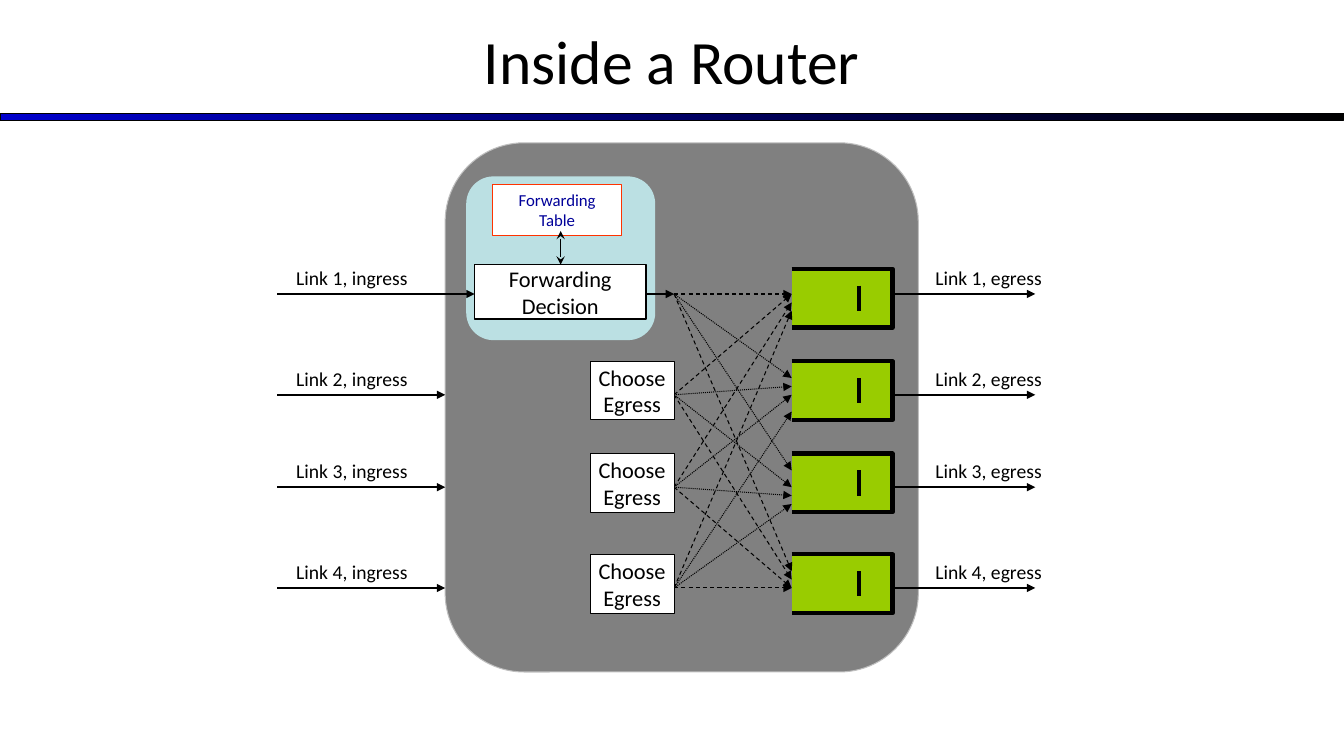
from lxml import etree
from pptx import Presentation
from pptx.dml.color import RGBColor
from pptx.enum import dml, shapes, text
from pptx.oxml import ns
from pptx.util import Pt

BLACK = RGBColor(0x00, 0x00, 0x00)
WHITE = RGBColor(0xFF, 0xFF, 0xFF)
BLUE = RGBColor(0x00, 0x00, 0xCC)
NAVY = RGBColor(0x00, 0x00, 0x99)
GREY = RGBColor(0x80, 0x80, 0x80)
SILVER = RGBColor(0xBF, 0xBF, 0xBF)
PALE = RGBColor(0xBB, 0xE0, 0xE3)
GREEN = RGBColor(0x99, 0xCC, 0x00)
RED = RGBColor(0xFF, 0x33, 0x00)
RECT = shapes.MSO_SHAPE.RECTANGLE
DASH, DOT = dml.MSO_LINE.DASH, dml.MSO_LINE.ROUND_DOT

prs = Presentation()
prs.slide_width, prs.slide_height = Pt(960), Pt(540)
s = prs.slides.add_slide(prs.slide_layouts[5])


def write(sp, words, size, color=BLACK, align=text.PP_ALIGN.CENTER,
          anchor=text.MSO_ANCHOR.MIDDLE, wrap=False):
    tf = sp.text_frame
    tf.text = words
    tf.word_wrap = wrap
    tf.auto_size = text.MSO_AUTO_SIZE.NONE
    tf.vertical_anchor = anchor
    tf.margin_left = tf.margin_right = Pt(7.2)
    tf.margin_top = tf.margin_bottom = Pt(3.6)
    for p in tf.paragraphs:
        p.alignment = align
        f = p.runs[0].font
        f.name, f.size, f.color.rgb = "Calibri", Pt(size), color


def line(x1, y1, x2, y2, width, dash=None, head=None, tail="triangle"):
    cn = s.shapes.add_connector(shapes.MSO_CONNECTOR.STRAIGHT,
                                Pt(x1), Pt(y1), Pt(x2), Pt(y2))
    cn.line.color.rgb, cn.line.width = BLACK, Pt(width)
    if dash:
        cn.line.dash_style = dash
    ln = cn.line._get_or_add_ln()
    for end, kind in (("a:headEnd", head), ("a:tailEnd", tail)):
        if kind:
            etree.SubElement(ln, ns.qn(end), type=kind)
    etree.SubElement(cn._element.spPr, ns.qn("a:effectLst"))


# Title and gradient rule
title = s.shapes.title
title.left, title.top, title.width, title.height = Pt(0), Pt(-2), Pt(960), Pt(90)
write(title, "Inside a Router", 44, wrap=True)
rule = s.shapes.add_shape(RECT, Pt(0), Pt(81), Pt(960), Pt(5))
rule.shadow.inherit = False
rule.fill.gradient()
rule.fill.gradient_angle = 0
for stop, color in zip(rule.fill.gradient_stops, (BLUE, BLACK)):
    stop.color.rgb = color
rule.line.color.rgb, rule.line.width = BLACK, Pt(0.75)

# Router body and forwarding panel
for x, y, w, h, fill, edge in ((318, 102, 338, 378, GREY, SILVER),
                               (333, 126, 135, 117, PALE, None)):
    sp = s.shapes.add_shape(shapes.MSO_SHAPE.ROUNDED_RECTANGLE,
                            Pt(x), Pt(y), Pt(w), Pt(h))
    sp.shadow.inherit = False
    sp.fill.solid()
    sp.fill.fore_color.rgb = fill
    if edge:
        sp.line.color.rgb, sp.line.width = edge, Pt(0.75)
    else:
        sp.line.fill.background()

# Links with labels, and output queues
link_y = (210, 282, 348, 420)
queue_y = (192, 258, 324, 396)
for n, (y, top) in enumerate(zip(link_y, queue_y), 1):
    line(198, y, 339 if n == 1 else 318, y, 1.5)
    line(619, y, 739.5, y, 1.5)
    for x, w, side in ((204.5, 93.5, "ingress"), (661, 90, "egress")):
        label = s.shapes.add_textbox(Pt(x), Pt(y - 23.5), Pt(w), Pt(24))
        write(label, f"Link {n}, {side}", 14, align=text.PP_ALIGN.LEFT,
              anchor=text.MSO_ANCHOR.TOP)
    fb = s.shapes.build_freeform(Pt(565.5), Pt(top))
    fb.add_line_segments([(Pt(637.5), Pt(top)), (Pt(637.5), Pt(top + 42)),
                          (Pt(565.5), Pt(top + 42))], close=False)
    queue = fb.convert_to_shape()
    queue.shadow.inherit = False
    queue.fill.solid()
    queue.fill.fore_color.rgb = GREEN
    queue.line.color.rgb, queue.line.width = BLACK, Pt(3)
    line(613.5, top + 12, 613.5, top + 30, 3, tail=None)

# Switching mesh: where the arrows from links 1 to 4 meet each queue
mesh = ((DASH, (210, 210, 216, 222)),
        (DOT, (270, 276, 282, 294)),
        (DOT, (336, 348, 354, 360)),
        (DASH, (408, 414, 420, 420)))
for dash, ends in mesh:
    for y, end in zip(link_y, ends):
        line(481.5, y, 565.5, end, 0.75, dash)

# Decision boxes and forwarding table
boxes = [(421.5, top, 60, 42, "Choose\nEgress", 16, BLACK, BLACK, 0.75)
         for top in queue_y[1:]]
boxes += [(339, 189, 122.5, 39, "Forwarding\nDecision", 16, BLACK, BLACK, 1),
          (352, 132, 92, 36, "Forwarding\nTable", 12, NAVY, RED, 0.75)]
for x, y, w, h, words, size, color, edge, width in boxes:
    sp = s.shapes.add_shape(RECT, Pt(x), Pt(y), Pt(w), Pt(h))
    sp.shadow.inherit = False
    sp.fill.solid()
    sp.fill.fore_color.rgb = WHITE
    sp.line.color.rgb, sp.line.width = edge, Pt(width)
    write(sp, words, size, color)

# Table lookup and decision output
line(400.5, 165, 400.5, 189, 1, head="stealth", tail="stealth")
line(461.5, 210, 481.5, 210, 0.75)

prs.save("out.pptx")
